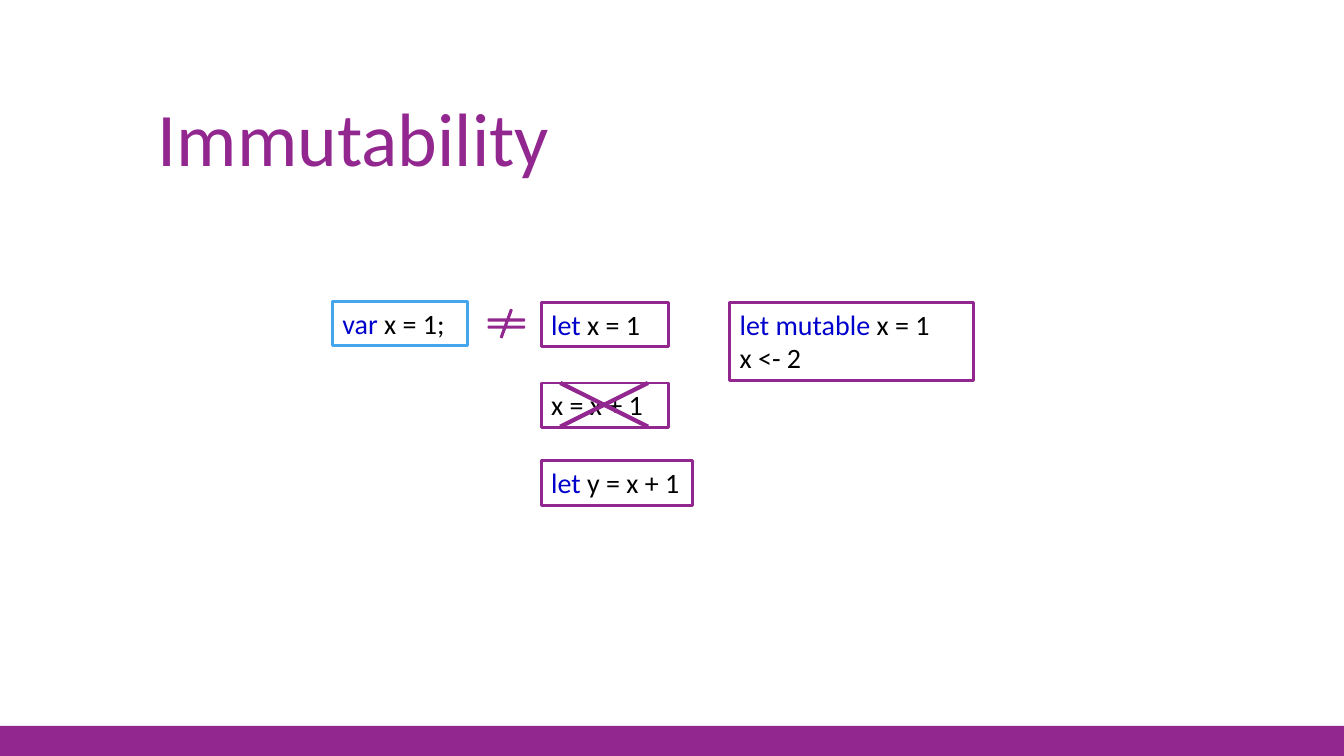
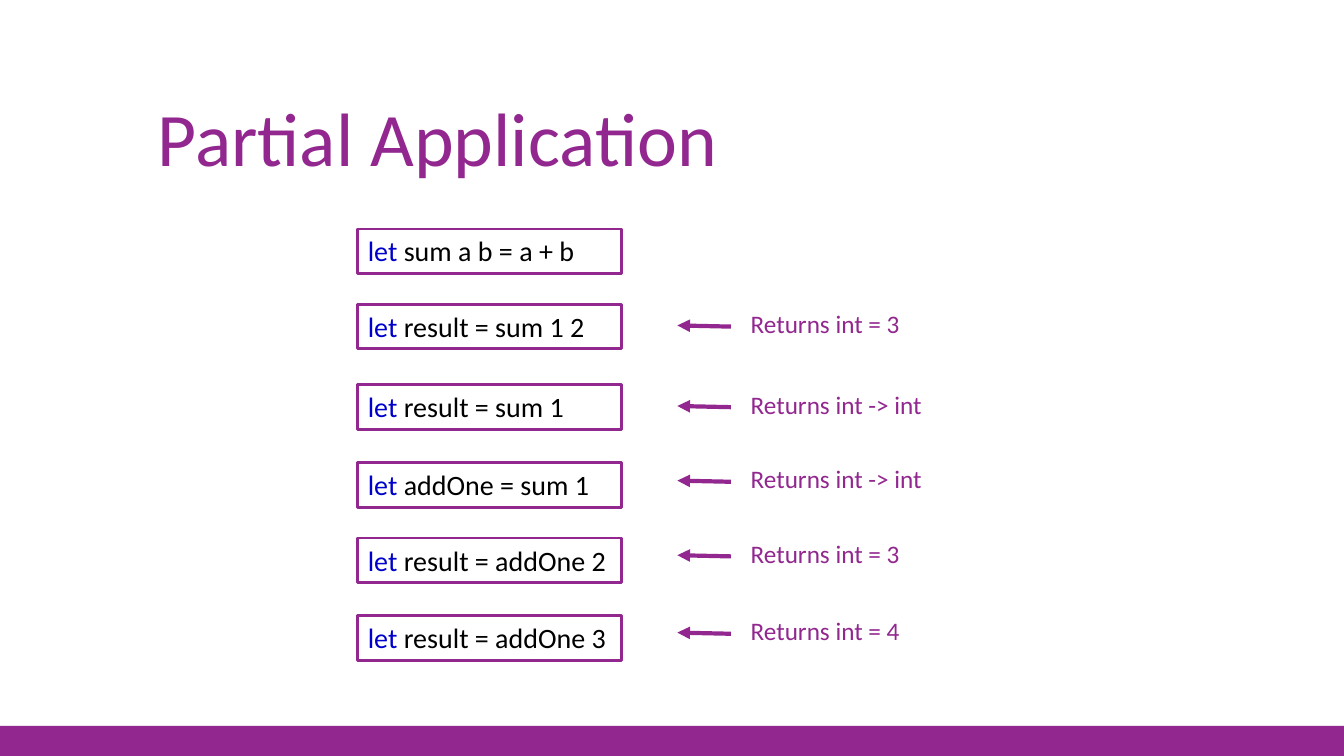
from lxml.etree import SubElement
from pptx import Presentation
from pptx.dml.color import RGBColor
from pptx.enum.shapes import MSO_CONNECTOR, MSO_SHAPE
from pptx.enum.text import MSO_ANCHOR
from pptx.oxml.ns import qn
from pptx.util import Cm, Pt

FONT = "Calibri"
PURPLE, BLUE, KEYWORD = "92278F", "45A5ED", "0000CC"
BLACK, WHITE = "000000", "FFFFFF"
WIDTH, HEIGHT, BAND = 33.87, 19.05, 0.76
LINE_HEIGHT = 0.85


def rgb(color):
    return RGBColor.from_string(color)


def write(box, lines, size=20, color=BLACK, anchor=MSO_ANCHOR.TOP, spacing=None):
    """Fill a box with lines, each a (keyword, rest) pair; keywords are blue."""
    frame = box.text_frame
    frame.word_wrap = True
    frame.vertical_anchor = anchor
    for index, line in enumerate(lines):
        para = frame.add_paragraph() if index else frame.paragraphs[0]
        para.line_spacing = spacing
        for text, text_color in zip(line, (KEYWORD, color)):
            if text:
                span = para.add_run()
                span.text = text
                span.font.name = FONT
                span.font.size = Pt(size)
                span.font.color.rgb = rgb(text_color)
        # Shapes centre their text unless told otherwise
        para.alignment = 1


class Slides:
    def __init__(self):
        self.deck = Presentation()
        self.deck.slide_width, self.deck.slide_height = Cm(WIDTH), Cm(HEIGHT)
        self.slide = None

    def start(self, title):
        """Add a slide with the shared bottom band and title."""
        self.slide = self.deck.slides.add_slide(self.deck.slide_layouts[6])
        self.shape(0, HEIGHT - BAND, WIDTH, BAND)
        self.text(3.73, 1.3, 26.42, 3.43, title, size=54,
                  anchor=MSO_ANCHOR.BOTTOM, spacing=0.9)

    def shape(self, left, top, width, height, kind=MSO_SHAPE.RECTANGLE,
              fill=PURPLE, line=None, weight=2):
        shape = self.slide.shapes.add_shape(
            kind, Cm(left), Cm(top), Cm(width), Cm(height))
        shape.shadow.inherit = False
        shape.fill.solid()
        shape.fill.fore_color.rgb = rgb(fill)
        if line:
            shape.line.color.rgb = rgb(line)
            shape.line.width = Pt(weight)
        else:
            shape.line.fill.background()
        return shape

    def text(self, left, top, width, height, text, **style):
        box = self.slide.shapes.add_textbox(
            Cm(left), Cm(top), Cm(width), Cm(height))
        write(box, [("", text)], color=PURPLE, **style)

    def code(self, left, top, width, *lines, line=PURPLE):
        """Add a framed code box as tall as its lines."""
        box = self.shape(left, top, width, 0.27 + LINE_HEIGHT * len(lines),
                         fill=WHITE, line=line)
        write(box, lines)

    def line(self, start_x, start_y, end_x, end_y, arrow=False):
        line = self.slide.shapes.add_connector(
            MSO_CONNECTOR.STRAIGHT, Cm(start_x), Cm(start_y), Cm(end_x), Cm(end_y))
        line.line.color.rgb = rgb(PURPLE)
        line.line.width = Pt(3)
        if arrow:
            SubElement(line.line._get_or_add_ln(), qn("a:tailEnd"), type="triangle")
        SubElement(line._element.spPr, qn("a:effectLst"))


def immutability(slides):
    slides.start("Immutability")
    column, first, second, third = 13.64, 7.62, 9.65, 11.61
    slides.code(column, first, 3.2, ("let ", "x = 1"))
    slides.code(18.39, first, 6.15, ("let mutable ", "x = 1"), ("", "x <- 2"))
    slides.code(column, second, 3.2, ("", "x = x + 1"))
    slides.code(column, third, 3.81, ("let ", "y = x + 1"))

    cross_left, cross_right, cross_bottom = 14.12, 16.33, second + 1.1
    slides.line(cross_left, second, cross_right, cross_bottom)
    slides.line(cross_right, second, cross_left, cross_bottom)

    slides.code(8.38, 7.59, 3.4, ("var", " x = 1;"), line=BLUE)
    unequal = slides.shape(12.14, 7.8, 1.24, 0.71, kind=MSO_SHAPE.MATH_NOT_EQUAL,
                           line=PURPLE, weight=1)
    unequal.adjustments[0] = 0.06
    unequal.adjustments[2] = 0.19


def partial_application(slides):
    slides.start("Partial Application")
    rows = [
        (5.77, "sum a b = a + b", None, None),
        (7.67, "result = sum 1 2", 7.65, "int = 3"),
        (9.7, "result = sum 1", 9.68, "int -> int"),
        (11.66, "addOne = sum 1", 11.56, "int -> int"),
        (13.56, "result = addOne 2", 13.44, "int = 3"),
        (15.52, "result = addOne 3", 15.39, "int = 4"),
    ]
    for code_top, code, note_top, result in rows:
        slides.code(9.02, code_top, 6.65, ("let ", code))
        if result:
            slides.line(18.42, note_top + 0.58, 17.07, note_top + 0.55, arrow=True)
            slides.text(18.67, note_top, 5.5, 1.02, f"Returns {result}", size=18)


def main():
    slides = Slides()
    immutability(slides)
    partial_application(slides)
    slides.deck.save("out.pptx")


if __name__ == "__main__":
    main()
